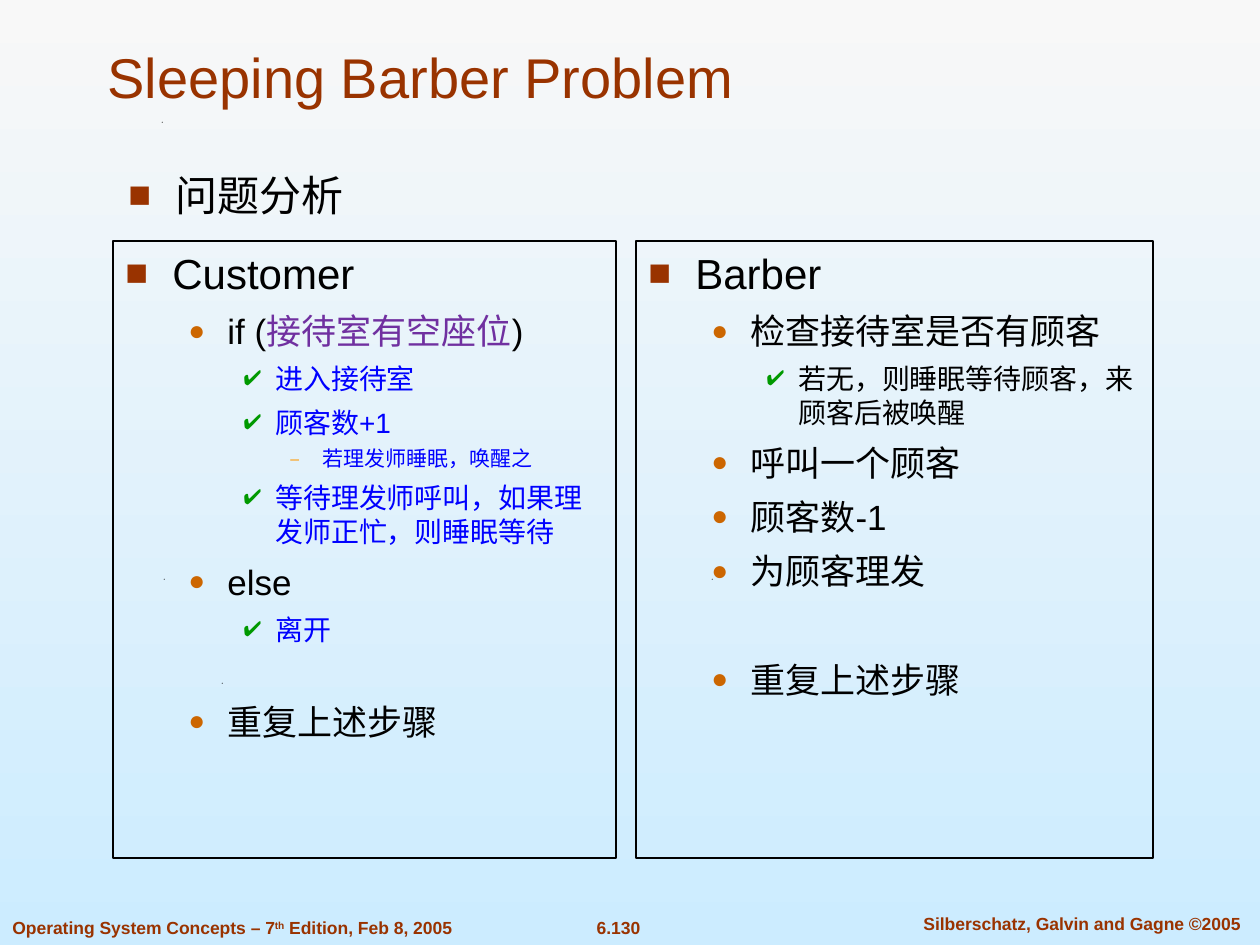
from dataclasses import dataclass

from lxml.etree import SubElement
from pptx import Presentation
from pptx.dml.color import RGBColor
from pptx.enum.shapes import MSO_SHAPE
from pptx.enum.text import MSO_ANCHOR, MSO_AUTO_SIZE, PP_ALIGN
from pptx.oxml.ns import qn
from pptx.util import Pt

PX = 914400 / 126


def px(n):
    return round(n * PX)


@dataclass(frozen=True)
class Level:
    size: int
    left: int
    hang: int
    char: str
    color: str
    percent: int


@dataclass(frozen=True)
class Theme:
    font: str = "Arial"
    brand: str = "993300"
    ink: str = "000000"
    blue: str = "0000FF"
    purple: str = "7030A0"
    sky: tuple = ("F8F8F8", "CCECFF")
    title: int = 32
    footer: int = 10
    gap: float = 0.35
    levels: tuple = (
        Level(24, 47, 47, "■", "993300", 90),
        Level(20, 102, 39, "●", "CC6600", 80),
        Level(16, 150, 32, "✔", "009900", 75),
        Level(12, 197, 32, "–", "FF9900", 75),
    )


class Deck:
    def __init__(self, prs, theme):
        self.theme = theme
        self.s = prs.slides.add_slide(prs.slide_layouts[5])

    def background(self):
        fill = self.s.background.fill
        fill.gradient()
        fill.gradient_angle = 270
        for i, color in enumerate(self.theme.sky):
            stop = fill.gradient_stops[i]
            stop.position = i
            stop.color.rgb = RGBColor.from_string(color)

    def run(self, p, text, size, color, bold=False):
        r = p.add_run()
        r.text = text
        r.font.name = self.theme.font
        r.font.size = Pt(size)
        r.font.bold = bold
        r.font.color.rgb = RGBColor.from_string(color)
        return r

    def title(self, text, x, y, w, h):
        sp = self.s.shapes.title
        sp.left, sp.top, sp.width, sp.height = map(px, (x, y, w, h))
        tf = sp.text_frame
        tf.auto_size = MSO_AUTO_SIZE.NONE
        tf.vertical_anchor = MSO_ANCHOR.BOTTOM
        p = tf.paragraphs[0]
        p.alignment = PP_ALIGN.LEFT
        self.run(p, text, self.theme.title, self.theme.brand)

    def footer(self, parts, x, y, w, align):
        sp = self.s.shapes.add_textbox(px(x), px(y), px(w), px(34))
        tf = sp.text_frame
        tf.word_wrap = True
        p = tf.paragraphs[0]
        p.alignment = align
        for text, raised in parts:
            r = self.run(p, text, self.theme.footer, self.theme.brand, True)
            if raised:
                r.font._element.set("baseline", "30000")

    def bullet(self, p, level):
        pPr = p._p.get_or_add_pPr()
        pPr.set("marL", str(px(level.left)))
        pPr.set("indent", str(-px(level.hang)))
        clr = SubElement(pPr, qn("a:buClr"))
        SubElement(clr, qn("a:srgbClr")).set("val", level.color)
        SubElement(pPr, qn("a:buSzPct")).set("val", str(level.percent * 1000))
        SubElement(pPr, qn("a:buFont")).set("typeface", self.theme.font)
        SubElement(pPr, qn("a:buChar")).set("char", level.char)

    def outline(self, tf, items):
        tf.word_wrap = True
        tf.vertical_anchor = MSO_ANCHOR.TOP
        for i, (depth, runs, extra) in enumerate(items):
            level = self.theme.levels[depth]
            p = tf.add_paragraph() if i else tf.paragraphs[0]
            p.level = depth
            p.alignment = PP_ALIGN.LEFT
            self.bullet(p, level)
            if i:
                p.space_before = Pt(level.size * self.theme.gap + extra)
            for text, color in runs:
                self.run(p, text, level.size, color)

    def heading(self, items, x, y, w, h):
        sp = self.s.shapes.add_textbox(px(x), px(y), px(w), px(h))
        self.outline(sp.text_frame, items)

    def panel(self, items, x, y, w, h):
        sp = self.s.shapes.add_shape(MSO_SHAPE.RECTANGLE, px(x), px(y), px(w), px(h))
        sp.shadow.inherit = False
        sp.fill.background()
        sp.line.color.rgb = RGBColor.from_string(self.theme.ink)
        sp.line.width = Pt(0.75)
        self.outline(sp.text_frame, items)

    def speck(self, x, y):
        fb = self.s.shapes.build_freeform(x, y, scale=PX)
        fb.add_line_segments([(x + 1, y), (x, y + 1)], close=True)
        sp = fb.convert_to_shape()
        sp.shadow.inherit = False
        sp.fill.solid()
        sp.fill.fore_color.rgb = RGBColor.from_string(self.theme.ink)
        sp.line.fill.background()


def main():
    prs = Presentation()
    prs.slide_width, prs.slide_height = px(1260), px(945)
    theme = Theme()
    deck = Deck(prs, theme)

    def item(depth, text, color=theme.ink, extra=0):
        return depth, [(text, color)], extra

    deck.background()
    for x, y in ((222, 683), (164, 579), (712, 579), (162, 122)):
        deck.speck(x, y)
    deck.footer([("6.130", False)], 578, 911, 81, PP_ALIGN.CENTER)
    deck.footer([("Silberschatz, Galvin and Gagne ©2005", False)],
                895, 907, 374, PP_ALIGN.CENTER)
    deck.footer([("Operating System Concepts – 7", False), ("th", True),
                 (" Edition, Feb 8, 2005", False)], 0, 911, 518, PP_ALIGN.LEFT)

    deck.title("Sleeping Barber Problem", 95, 32, 1113, 84)
    deck.heading([item(0, "问题分析")], 116, 163, 436, 59)

    customer = [
        item(0, "Customer"),
        (1, [("if (", theme.ink), ("接待室有空座位", theme.purple), (")", theme.ink)], 0),
        item(2, "进入接待室", theme.blue),
        item(2, "顾客数+1", theme.blue),
        item(3, "若理发师睡眠，唤醒之", theme.blue),
        item(2, "等待理发师呼叫，如果理发师正忙，则睡眠等待", theme.blue),
        item(1, "else"),
        item(2, "离开", theme.blue),
        item(1, "重复上述步骤", extra=24),
    ]
    barber = [
        item(0, "Barber"),
        item(1, "检查接待室是否有顾客"),
        item(2, "若无，则睡眠等待顾客，来顾客后被唤醒"),
        item(1, "呼叫一个顾客"),
        item(1, "顾客数-1"),
        item(1, "为顾客理发"),
        item(1, "重复上述步骤", extra=31),
    ]
    deck.panel(customer, 113, 241, 503, 617)
    deck.panel(barber, 636, 241, 517, 617)
    prs.save("out.pptx")


if __name__ == "__main__":
    main()
